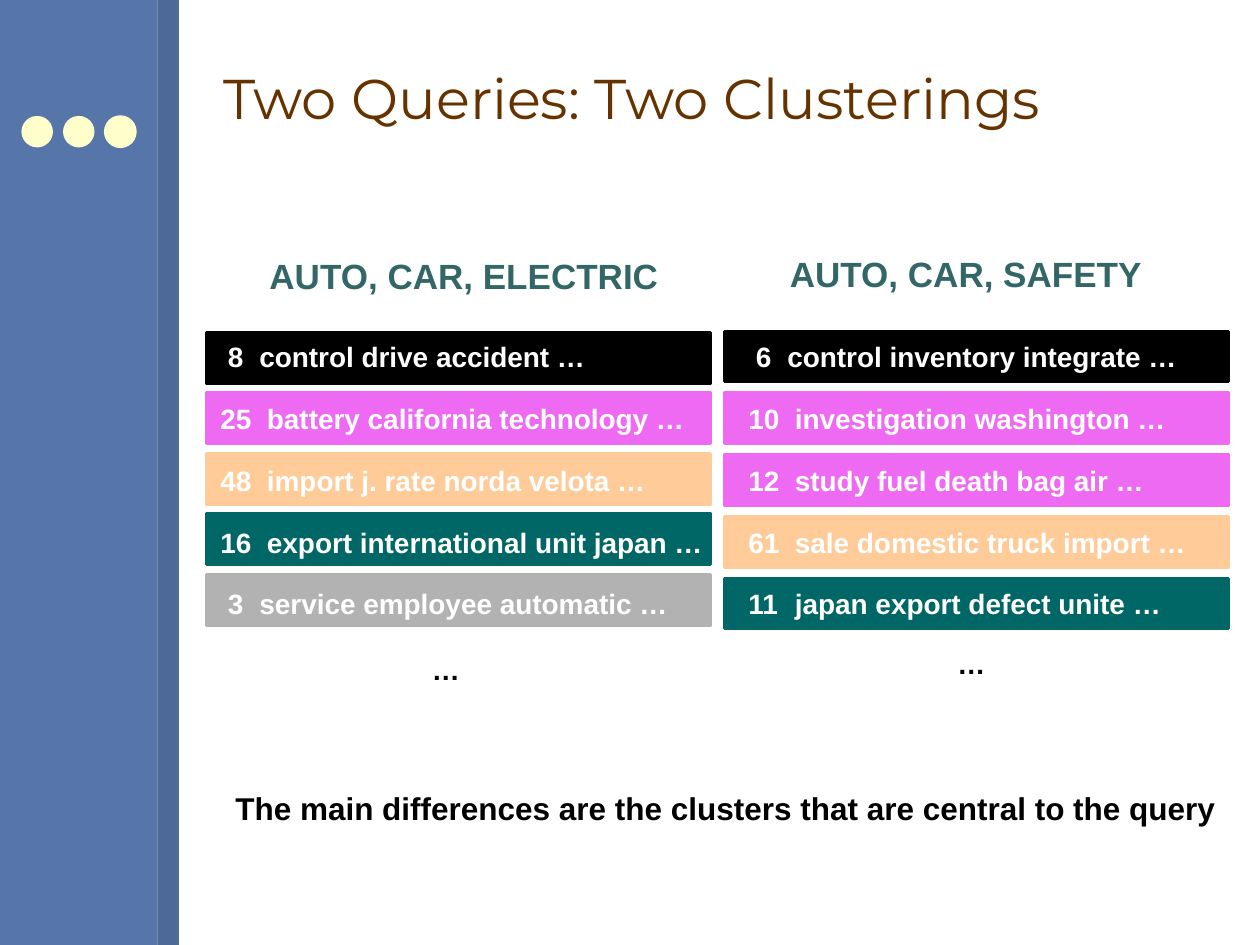
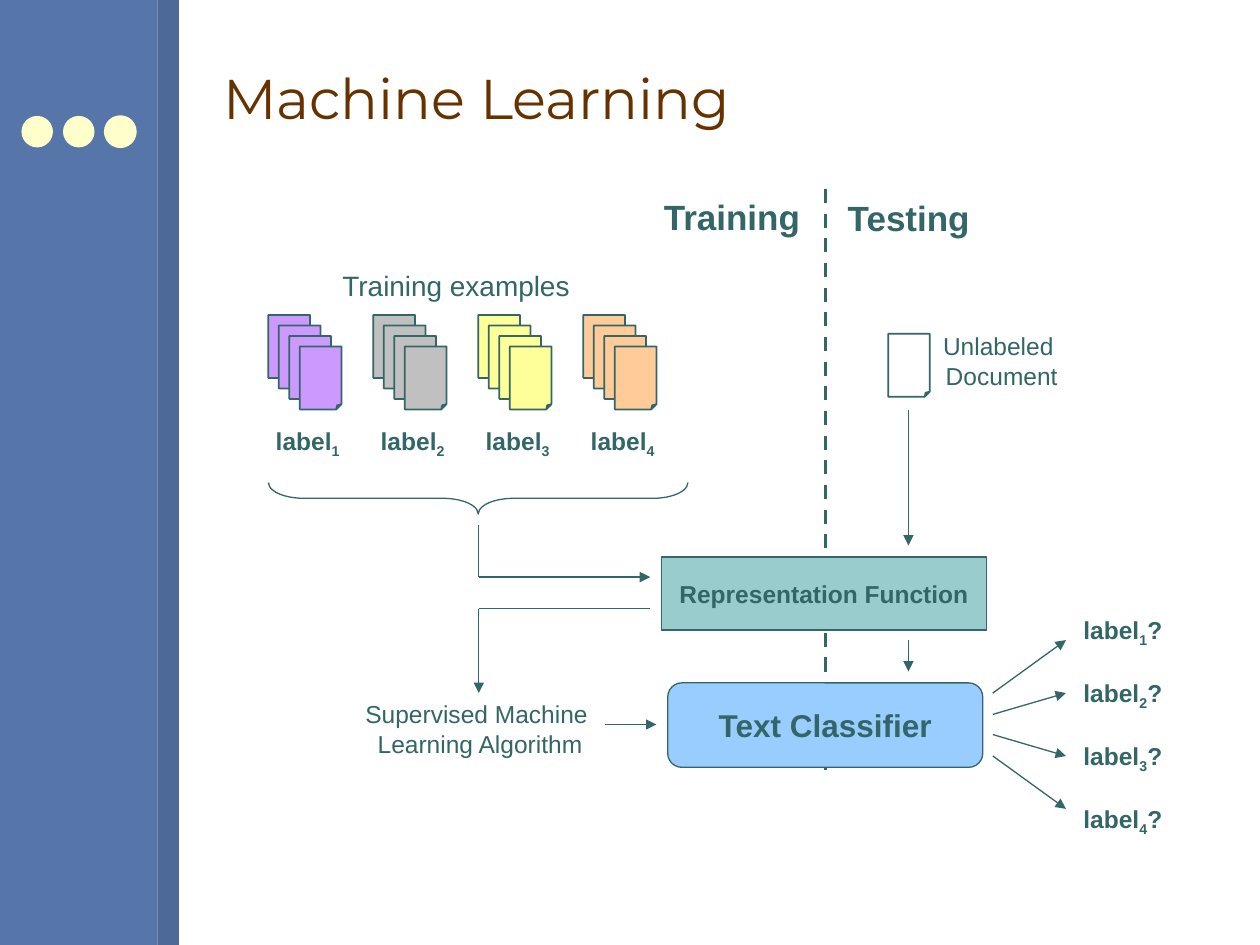
from pptx import Presentation
from pptx.dml.color import RGBColor
from pptx.enum.dml import MSO_LINE
from pptx.enum.shapes import MSO_CONNECTOR, MSO_SHAPE as Kind
from pptx.enum.text import MSO_ANCHOR, PP_ALIGN as Align
from pptx.oxml.ns import qn
from pptx.util import Inches, Pt
from lxml.etree import SubElement

TEAL, BLACK, WHITE = "336666", "000000", "FFFFFF"
PINK, PEACH, PINE, GRAY = "EE6AF3", "FFCC99", "006666", "B2B2B2"
CREAM, BROWN = "FFFFCC", "663300"
HEAD = {"size": Pt(20), "bold": True}
NOTE = {"size": Pt(18), "bold": True}
ROW = {"size": Pt(16), "bold": True}
TAG = {"size": Pt(14), "bold": True}
PLAIN = {"size": Pt(14), "bold": False}


def draw(slide, kind, box, fill=None, line=None, width=0.75):
    place = [Inches(v) for v in box]
    if kind is None:
        return slide.shapes.add_textbox(*place)
    shape = slide.shapes.add_shape(kind, *place)
    shape.shadow.inherit = False
    for part, hue in ((shape.fill, fill), (shape.line.fill, line)):
        if hue:
            part.solid()
            part.fore_color.rgb = RGBColor.from_string(hue)
        else:
            part.background()
    if line:
        shape.line.width = Pt(width)
    return shape


def write(shape, lines, style, hue=TEAL, align=Align.LEFT, space=1.0, face="Arial"):
    frame = shape.text_frame
    frame.word_wrap = True
    for i, line in enumerate(lines):
        para = frame.paragraphs[0] if i == 0 else frame.add_paragraph()
        para.alignment = align
        para.line_spacing = space
        for j, text in enumerate(line.split("_")):
            run = para.add_run()
            run.text = text
            for key, val in {**style, "name": face}.items():
                setattr(run.font, key, val)
            run.font.color.rgb = RGBColor.from_string(hue)
            if j % 2:
                run.font._element.set("baseline", "-25000")
    return frame


deck = Presentation()
deck.slide_width, deck.slide_height = Inches(10), Inches(7.5)
pages = []
for name in ("Two Queries: Two Clusterings", "Machine Learning"):
    page = deck.slides.add_slide(deck.slide_layouts[5])
    draw(page, Kind.RECTANGLE, (0, 0, 1.25, 7.5), "5675A9")
    draw(page, Kind.RECTANGLE, (1.25, 0, 0.17, 7.5), "4D6997")
    for x, edge in ((0.17, None), (0.5, None), (0.83, CREAM)):
        draw(page, Kind.OVAL, (x, 0.92, 0.25, 0.25), CREAM, edge)
    title = page.shapes.title
    title.left, title.top, title.width, title.height = [
        Inches(v) for v in (1.67, 0.21, 8, 1.13)]
    frame = write(title, [name], {"size": Pt(32)}, BROWN, face="Montserrat")
    frame.vertical_anchor = MSO_ANCHOR.MIDDLE
    pages.append(page)
query, learn = pages

lists = [
    {"head": "AUTO, CAR, ELECTRIC", "spot": (2.04, 2.01), "bar": (1.64, 2.64, 0.48),
     "text": 1.65, "more": (3.33, 5.13),
     "rows": [(8, "control drive accident …", BLACK),
              (25, "battery california technology …", PINK),
              (48, "import j. rate norda velota …", PEACH),
              (16, "export international unit japan …", PINE),
              (3, "service employee automatic …", GRAY)]},
    {"head": "AUTO, CAR, SAFETY", "spot": (6.17, 1.99), "bar": (5.75, 2.63, 0.49),
     "text": 5.84, "more": (7.5, 5.08),
     "rows": [(6, "control inventory integrate …", BLACK),
              (10, "investigation washington …", PINK),
              (12, "study fuel death bag air …", PINK),
              (61, "sale domestic truck import …", PEACH),
              (11, "japan export defect unite …", PINE)]},
]
for group in lists:
    x, y, step = group["bar"]
    rows = group["rows"]
    for i, (count, words, hue) in enumerate(rows):
        draw(query, Kind.RECTANGLE, (x, y + i * step, 4, 0.4), hue, hue, 2)
    write(draw(query, None, (*group["spot"], 3.4, 0.4)), [group["head"]], HEAD, space=0.9)
    box = draw(query, None, (group["text"], 2.68, 4.15, 2.26))
    lines = [f"{count}\t{words}" for count, words, hue in rows]
    frame = write(box, lines, ROW, WHITE, space=0.9)
    for i, para in enumerate(frame.paragraphs):
        inset, left = (0.06, 0.31) if rows[i][0] < 10 else (0, 0.37)
        props = para._p.get_or_add_pPr()
        props.set("marL", str(Inches(left)))
        props.set("indent", str(Inches(inset - left)))
        if i:
            para.space_before = Pt(18)
    write(draw(query, None, (*group["more"], 0.5, 0.37)), ["…"], ROW, BLACK)
write(draw(query, None, (1.77, 6.25, 8.1, 0.37)),
      ["The main differences are the clusters that are central to the query"],
      NOTE, BLACK, space=0.9)

lines = [
    (6.55, 1.5, 6.55, 6.17, "dash"),
    (3.8, 4.17, 3.8, 4.58, None),
    (3.8, 4.58, 5.16, 4.58, "arrow"),
    (5.16, 4.83, 3.8, 4.83, None),
    (3.8, 4.83, 3.8, 5.5, "arrow"),
    (4.8, 5.75, 5.21, 5.75, "arrow"),
    (7.21, 3.25, 7.21, 4.33, "arrow"),
    (7.21, 5.08, 7.21, 5.33, "arrow"),
    (7.88, 5.5, 8.46, 5.08, "arrow"),
    (7.88, 5.67, 8.46, 5.5, "arrow"),
    (7.88, 5.83, 8.46, 6, "arrow"),
    (7.88, 6, 8.46, 6.42, "arrow"),
]
for *ends, kind in lines:
    link = learn.shapes.add_connector(MSO_CONNECTOR.STRAIGHT, *[Inches(v) for v in ends])
    link.line.color.rgb = RGBColor.from_string(TEAL)
    link.line.width = Pt(2 if kind == "dash" else 0.75)
    if kind == "dash":
        link.line.dash_style = MSO_LINE.DASH
    if kind == "arrow":
        SubElement(link.line._get_or_add_ln(), qn("a:tailEnd"), type="triangle")
    SubElement(link._element.spPr, qn("a:effectLst"))

sheets = [(7.05, 2.65, WHITE)]
for i, hue in enumerate(("CC99FF", "C0C0C0", "FFFF99", PEACH)):
    shift = i * 2.5 / 3
    sheets += [(2.13 + shift + j / 12, 2.5 + j / 12, hue) for j in range(4)]
    write(draw(learn, None, (2.09 + shift, 3.33, 0.8, 0.37)), [f"label_{i + 1}"], TAG)
    write(draw(learn, None, (8.5, 4.83 + i / 2, 0.9, 0.37)), [f"label_{i + 1}_?"], TAG)
for x, y, hue in sheets:
    sheet = draw(learn, Kind.FOLDED_CORNER, (x, y, 0.33, 0.5), hue, TEAL, 1)
    fold = sheet._element.find(".//" + qn("a:avLst"))
    SubElement(fold, qn("a:gd"), name="adj", fmla="val 12500")

brace = draw(learn, Kind.RIGHT_BRACE, (3.67, 2.29, 0.25, 3.33), None, TEAL)
brace.rotation = 90
brace.adjustments[0] = 1.12

for kind, box, hue, text, style in (
        (Kind.RECTANGLE, (5.25, 4.42, 2.58, 0.58), "99CCCC", "Representation Function", TAG),
        (Kind.ROUNDED_RECTANGLE, (5.3, 5.42, 2.5, 0.67), "99CCFF", "Text Classifier", NOTE)):
    write(draw(learn, kind, box, hue, TEAL), [text], style, align=Align.CENTER)

for box, text, style, align in (
        ((5.17, 1.5, 1.4, 0.44), ["Training"], HEAD, Align.LEFT),
        ((6.63, 1.51, 1.3, 0.44), ["Testing"], HEAD, Align.LEFT),
        ((2.62, 2.08, 2.1, 0.37), ["Training examples"], {"size": Pt(16)}, Align.LEFT),
        ((2.55, 5.5, 2.52, 0.57), ["Supervised Machine ", "Learning Algorithm"],
         PLAIN, Align.CENTER),
        ((6.69, 2.58, 2.52, 0.57), ["Unlabeled ", "Document"], PLAIN, Align.CENTER)):
    write(draw(learn, None, box), text, style, align=align)

deck.save("out.pptx")
